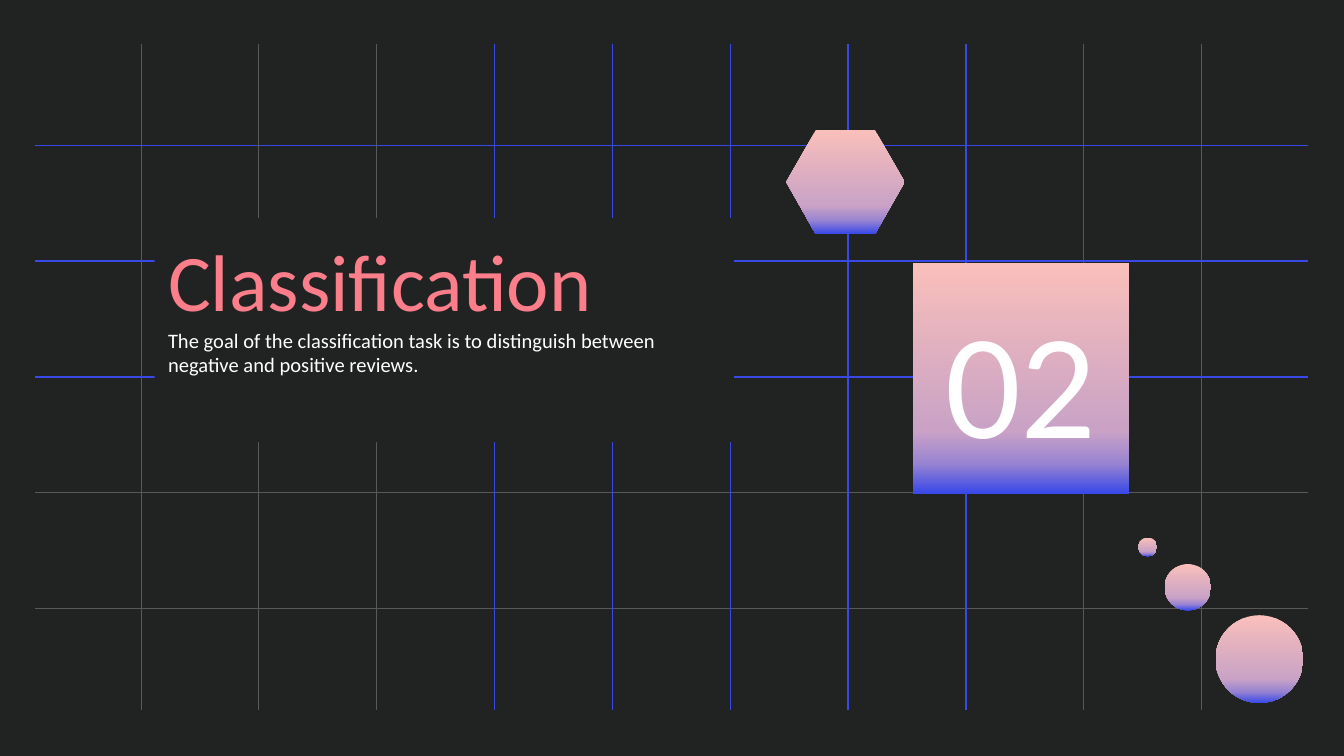
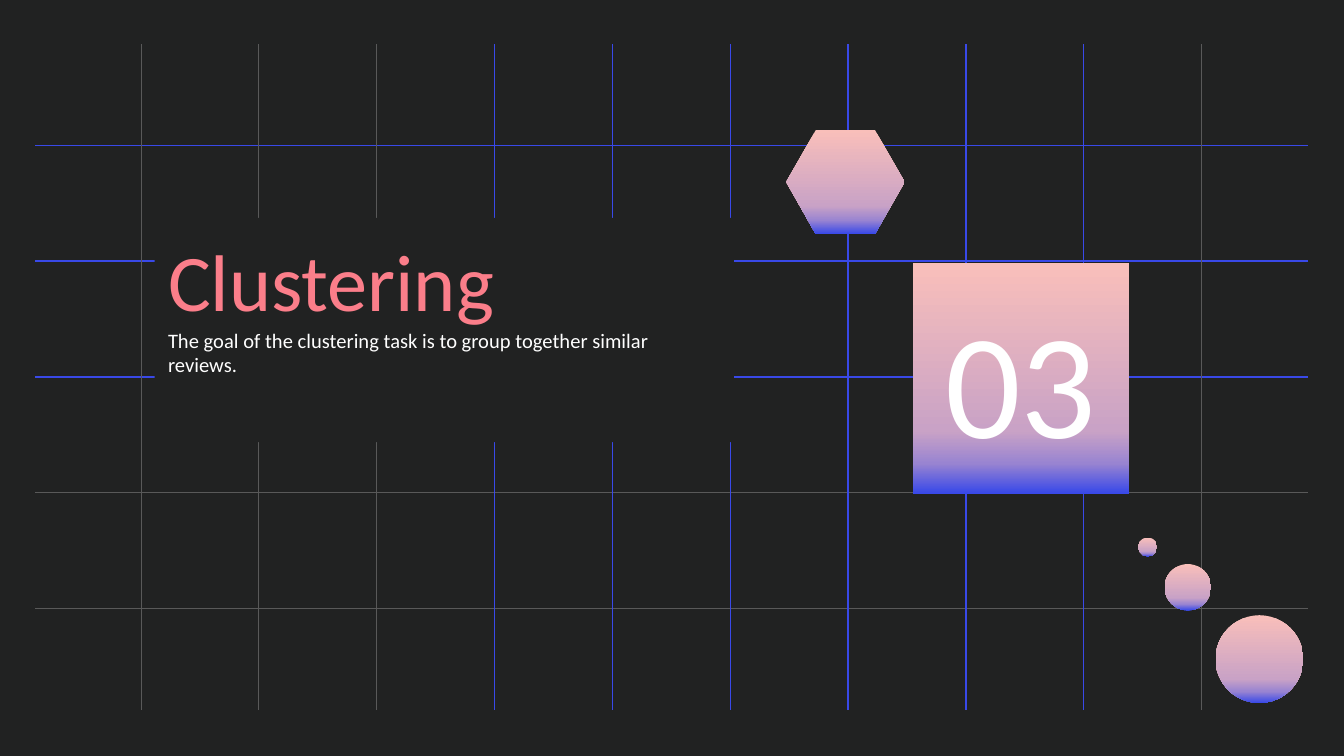
from lxml import etree
from pptx import Presentation
from pptx.dml.color import RGBColor
from pptx.enum import shapes, text
from pptx.oxml import ns
from pptx.util import Pt

DARK, BLUE, GRAY, PINK, WHITE = "212222", "3949E8", "595959", "FB7E8A", "FFFFFF"
STOPS = [(0, "F9BFBA"), (73, "C9A2C6"), (87, "9984D1"), (100, BLUE)]
INSET = 7.2
FONT = "Calibri"

# Boxes: left, top, width, height in points
GRID = (18.7, 23.8, 681.9, 356.4)
TITLE = (82.8, 116.7, 310.4, 120.2)
NUMBER = (488.9, 141.1, 115.9, 123.1)
HEXAGON = (421.2, 69.8, 63.4, 55.5)
BUBBLES = (609.8, 288, 88.5, 88.6)

SECTIONS = [
    ("Classification", "02", "The goal of the classification task is to "
     "distinguish between negative and positive reviews."),
    ("Clustering", "03", "The goal of the clustering task is to "
     "group together similar reviews."),
]


def color(code):
    return RGBColor.from_string(code)


def points(*values):
    return [Pt(v) for v in values]


def assign(item, values):
    for name, value in values.items():
        setattr(item, name, value)


def blend(shape):
    """Fill a shape with the vertical gradient, without line or shadow."""
    shape.shadow.inherit = False
    shape.line.fill.background()
    shape.fill.gradient()
    grad = shape.element.spPr.find(ns.qn("a:gradFill"))
    for child in list(grad):
        grad.remove(child)
    stops = etree.SubElement(grad, ns.qn("a:gsLst"))
    for place, code in STOPS:
        stop = etree.SubElement(stops, ns.qn("a:gs"), pos=str(place * 1000))
        etree.SubElement(stop, ns.qn("a:srgbClr"), val=code)
    etree.SubElement(grad, ns.qn("a:lin"), ang="5400000", scaled="0")


def set_frame(frame, anchor):
    assign(frame, {"word_wrap": True, "auto_size": text.MSO_AUTO_SIZE.NONE,
                   "vertical_anchor": anchor})
    assign(frame, {"margin_" + side: Pt(INSET)
                   for side in ("left", "top", "right", "bottom")})


def add_run(para, words, size, code):
    run = para.add_run()
    run.text = words
    assign(run.font, {"name": FONT, "size": Pt(size), "bold": False})
    run.font.color.rgb = color(code)


def add_rule(group, ends, code, width):
    rule = group.shapes.add_connector(
        shapes.MSO_CONNECTOR.STRAIGHT, *points(*ends))
    rule.line.color.rgb = color(code)
    rule.line.width = Pt(width)
    etree.SubElement(rule.element.spPr, ns.qn("a:effectLst"))


def add_grid(slide, box):
    left, top, width, height = box
    group = slide.shapes.add_group_shape()
    rows = [top + 54 + 62.1 * i for i in range(5)]
    cols = [left + 56.9 + 63.12 * i for i in range(10)]
    rules = [((left + width, y, left, y), i < 3) for i, y in enumerate(rows)]
    rules += [((x, top, x, top + height), 3 <= i < 9)
              for i, x in enumerate(cols)]
    for ends, bright in rules:
        add_rule(group, ends, *((BLUE, 0.75) if bright else (GRAY, 0.5)))


def add_title(slide, box, head, note):
    title = slide.shapes.title
    assign(title, dict(zip(("left", "top", "width", "height"), points(*box))))
    title.fill.solid()
    title.fill.fore_color.rgb = color(DARK)
    set_frame(title.text_frame, text.MSO_ANCHOR.TOP)
    para = title.text_frame.paragraphs[0]
    para.alignment = text.PP_ALIGN.LEFT
    add_run(para, head, 43, PINK)
    para.add_line_break()
    add_run(para, note, 11, WHITE)
    # Bring the title in front of the grid
    slide.shapes.element.append(title.element)


def add_number(slide, box, number):
    tile = slide.shapes.add_shape(shapes.MSO_SHAPE.RECTANGLE, *points(*box))
    blend(tile)
    set_frame(tile.text_frame, text.MSO_ANCHOR.MIDDLE)
    para = tile.text_frame.paragraphs[0]
    para.alignment = text.PP_ALIGN.CENTER
    add_run(para, number, 80, WHITE)


def add_hexagon(slide, box):
    left, top, width, height = box
    right, base, mid, cut = left + width, top + height, top + height / 2, 15.8
    spots = [(left + cut, top), (left, mid), (left + cut, base),
             (right - cut, base), (right, mid), (right - cut, top)]
    start, *rest = [tuple(points(*spot)) for spot in spots]
    pen = slide.shapes.build_freeform(*start)
    pen.add_line_segments(rest, close=True)
    blend(pen.convert_to_shape())


def add_bubbles(slide, box):
    left, top = box[:2]
    group = slide.shapes.add_group_shape()
    for x, y, size in ((41.4, 41.6, 47), (14.1, 14.2, 24.8), (0, 0, 10.1)):
        blend(group.shapes.add_shape(
            shapes.MSO_SHAPE.OVAL, *points(left + x, top + y, size, size)))


def add_section(deck, head, number, note):
    slide = deck.slides.add_slide(deck.slide_layouts[5])
    add_grid(slide, GRID)
    add_title(slide, TITLE, head, note)
    add_number(slide, NUMBER, number)
    add_hexagon(slide, HEXAGON)
    add_bubbles(slide, BUBBLES)


def main():
    deck = Presentation()
    assign(deck, {"slide_width": Pt(720), "slide_height": Pt(405)})
    back = deck.slide_master.background.fill
    back.solid()
    back.fore_color.rgb = color(DARK)
    for section in SECTIONS:
        add_section(deck, *section)
    deck.save("out.pptx")


if __name__ == "__main__":
    main()
